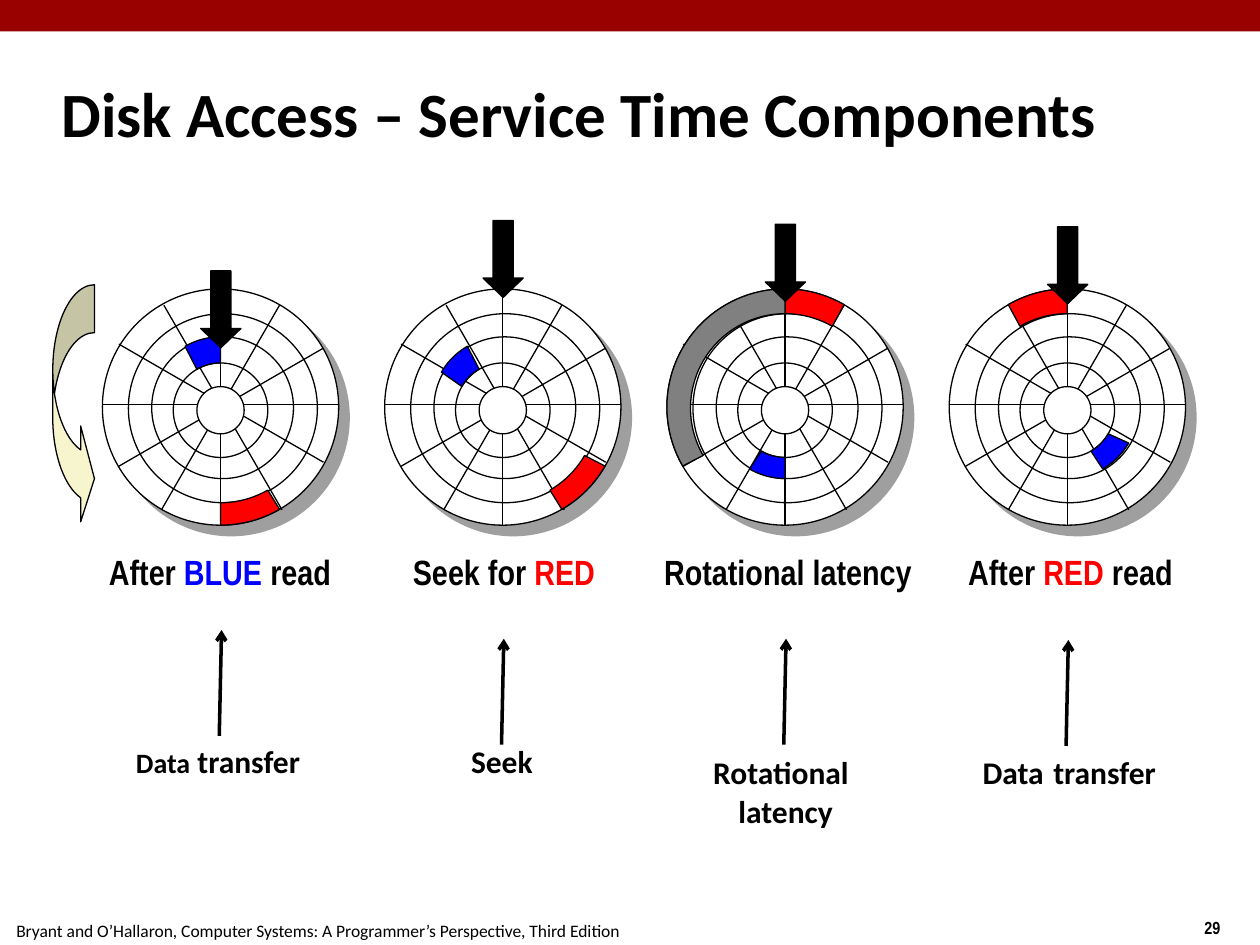
from dataclasses import dataclass
from math import cos, radians, sin
from typing import NamedTuple, Optional

from lxml import etree
from pptx import Presentation
from pptx import util as u
from pptx.dml import color as dml
from pptx.enum import shapes, text
from pptx.oxml import ns

BLACK, WHITE, BLUE, RED, GRAY = "000000", "FFFFFF", "0000FF", "FF0000", "808080"
CENTER_Y = 232.6
FIRST_X, DISK_PITCH = 126, 161.3


class Box(NamedTuple):
    left: float
    top: float
    width: float
    height: float


class Run(NamedTuple):
    text: str
    size: Optional[float] = None
    color: Optional[str] = None


class Ring(NamedTuple):
    radius: float
    dx: float
    dy: float


class Sector(NamedTuple):
    color: str
    outer: int  # index into RINGS; the inner edge is the next ring
    start: int  # degrees clockwise from the top
    end: int


@dataclass
class Stage:
    sectors: list[Sector]
    head_top: float
    caption: list[Run]
    caption_left: float
    caption_width: float
    step: list[list[Run]]
    step_box: Box
    step_wrap: bool
    pointer_bottom: float


RINGS = [Ring(67.5, 0, 0), Ring(54, 1.4, 0.7), Ring(40.5, 1.2, 0.4),
         Ring(27, 0, 1.8), Ring(13.5, 0, 1.8)]
SPOKE_SHIFTS = [(0, 0), (0, 0.3), (0, 0.3), (0, -1.4), (0.4, -2.2), (1.4, 0.3)]

STAGES = [
    Stage([Sector(BLUE, 2, -30, 0), Sector(RED, 0, 150, 180)], 154.8,
          [Run("After "), Run("BLUE ", color=BLUE), Run("read")], 41.8, 167.8,
          [[Run("Data", 16), Run(" transfer")]],
          Box(70.6, 420.5, 120, 28.8), False, 420.5),
    Stage([Sector(RED, 0, 120, 150), Sector(BLUE, 2, -60, -30)], 126,
          [Run("Seek for "), Run("RED", color=RED)], 216, 144,
          [[Run("Seek")]],
          Box(262.1, 420.5, 60, 28.8), False, 425.5),
    Stage([Sector(RED, 0, 0, 30), Sector(BLUE, 2, 180, 210),
           Sector(GRAY, 0, -120, 0)], 128.2,
          [Run("Rotational latency")], 354.2, 192.2,
          [[Run("Rotational"), Run(" ", 24)], [Run("latency")]],
          Box(383.8, 420.5, 130.3, 57.6), True, 425.5),
    Stage([Sector(RED, 0, -30, 0), Sector(BLUE, 2, 120, 150)], 129.6,
          [Run("After "), Run("RED", color=RED), Run(" read")], 527.8, 167.8,
          [[Run("Data"), Run(" ", 24), Run("transfer")]],
          Box(554.4, 420.5, 130, 36), False, 426.2),
]


def rgb(value: str) -> dml.RGBColor:
    return dml.RGBColor.from_string(value)


def paint(shape, fill: str, line: Optional[str] = BLACK) -> None:
    shape.shadow.inherit = False
    shape.fill.solid()
    shape.fill.fore_color.rgb = rgb(fill)
    if line:
        shape.line.color.rgb = rgb(line)
        shape.line.width = u.Pt(0.75)
    else:
        shape.line.fill.background()


def add_shape(parent, kind, box: Box, fill: str, line: Optional[str] = BLACK,
              adjustments=()):
    shape = parent.add_shape(kind, *map(u.Pt, box))
    for index, value in enumerate(adjustments):
        shape.adjustments[index] = value
    paint(shape, fill, line)
    return shape


def add_line(parent, start, end, width: float = 0.75, arrow: bool = False) -> None:
    line = parent.add_connector(shapes.MSO_CONNECTOR.STRAIGHT,
                                *map(u.Pt, (*start, *end)))
    line.line.color.rgb = rgb(BLACK)
    line.line.width = u.Pt(width)
    if arrow:
        etree.SubElement(line.line._get_or_add_ln(), ns.qn("a:tailEnd"), type="arrow")
    etree.SubElement(line._element.spPr, ns.qn("a:effectLst"))


def add_text(slide, box: Box, paragraphs: list[list[Run]], *, size: float,
             font: str = "Calibri", bold: bool = True, wrap: bool = True,
             align=text.PP_ALIGN.LEFT, anchor=text.MSO_ANCHOR.TOP,
             fit=text.MSO_AUTO_SIZE.SHAPE_TO_FIT_TEXT) -> None:
    frame = slide.shapes.add_textbox(*map(u.Pt, box)).text_frame
    frame.word_wrap = wrap
    frame.auto_size = fit
    frame.vertical_anchor = anchor
    for index, runs in enumerate(paragraphs):
        paragraph = frame.add_paragraph() if index else frame.paragraphs[0]
        paragraph.alignment = align
        for item in runs:
            run = paragraph.add_run()
            run.text = item.text
            run.font.name = font
            run.font.bold = bold
            run.font.size = u.Pt(item.size or size)
            run.font.color.rgb = rgb(item.color or BLACK)


def add_shadow(shape) -> None:
    effects = shape._element.spPr.find(ns.qn("a:effectLst"))
    shadow = etree.SubElement(effects, ns.qn("a:outerShdw"), dist=str(u.Pt(8.5)),
                              dir="2700000", algn="ctr", rotWithShape="0")
    color = etree.SubElement(shadow, ns.qn("a:srgbClr"), val=GRAY)
    etree.SubElement(color, ns.qn("a:alpha"), val="75000")


def add_ring(parent, x: float, ring: Ring):
    box = Box(x + ring.dx - ring.radius, CENTER_Y + ring.dy - ring.radius,
              2 * ring.radius, 2 * ring.radius)
    return add_shape(parent, shapes.MSO_SHAPE.OVAL, box, WHITE)


def add_sector(parent, x: float, sector: Sector) -> None:
    def arc(ring: Ring, angles) -> list:
        return [(u.Pt(x + ring.radius * sin(radians(angle))),
                 u.Pt(CENTER_Y + ring.dy - ring.radius * cos(radians(angle))))
                for angle in angles]

    angles = range(sector.start, sector.end + 1, 3)
    points = (arc(RINGS[sector.outer], angles)
              + arc(RINGS[sector.outer + 1], reversed(angles)))
    builder = parent.build_freeform(*points[0])
    builder.add_line_segments(points[1:], close=True)
    paint(builder.convert_to_shape(), sector.color)


def add_disk(slide, x: float, stage: Stage) -> None:
    group = slide.shapes.add_group_shape().shapes
    add_shadow(add_ring(group, x, RINGS[0]))
    for ring in RINGS[1:-1]:
        add_ring(group, x, ring)
    for index, (dx, dy) in enumerate(SPOKE_SHIFTS):
        angle, radius = radians(30 * index), RINGS[0].radius
        reach_x, reach_y = radius * sin(angle), -radius * cos(angle)
        add_line(group, (x + dx + reach_x, CENTER_Y + dy + reach_y),
                 (x + dx - reach_x, CENTER_Y + dy - reach_y))
    add_ring(group, x, RINGS[-1])
    for sector in stage.sectors:
        add_sector(group, x, sector)
    # Read/write head
    add_shape(group, shapes.MSO_SHAPE.DOWN_ARROW,
              Box(x - 11.3, stage.head_top, 23, 44), BLACK, adjustments=(0.5, 0.48))


def main() -> None:
    presentation = Presentation()
    presentation.slide_width, presentation.slide_height = u.Pt(720), u.Pt(540)
    slide = presentation.slides.add_slide(presentation.slide_layouts[6])

    # Banner, footer and title
    add_shape(slide.shapes, shapes.MSO_SHAPE.RECTANGLE, Box(0, 0, 720, 18),
              "990000", None)
    add_text(slide, Box(681.1, 520.6, 38, 19.4), [[Run("29")]], size=10,
             font="Arial Narrow", wrap=False)
    add_text(slide, Box(2.2, 522, 400, 18),
             [[Run("Bryant and O’Hallaron, Computer Systems: "
                   "A Programmer’s Perspective, Third Edition")]],
             size=10, bold=False, wrap=False)
    add_text(slide, Box(28.1, 34.2, 637.2, 59.8),
             [[Run("Disk Access – Service Time Components")]], size=36,
             anchor=text.MSO_ANCHOR.MIDDLE, fit=text.MSO_AUTO_SIZE.NONE)

    # Disks with captions, step names and pointers
    for index, stage in enumerate(STAGES):
        x = FIRST_X + index * DISK_PITCH
        add_disk(slide, x, stage)
        add_text(slide, Box(stage.caption_left, 311, stage.caption_width, 31),
                 [stage.caption], size=20, font="Arial Narrow",
                 align=text.PP_ALIGN.CENTER)
        add_text(slide, stage.step_box, stage.step, size=18, wrap=stage.step_wrap,
                 align=text.PP_ALIGN.CENTER if stage.step_wrap else text.PP_ALIGN.LEFT)
        add_line(slide.shapes, (x - 0.7, stage.pointer_bottom),
                 (x + 0.6, stage.pointer_bottom - 60.5), 2, arrow=True)

    # Direction of rotation
    add_shape(slide.shapes, shapes.MSO_SHAPE.CURVED_RIGHT_ARROW,
              Box(30.2, 162.7, 23.8, 138.2), "F7F5CD", adjustments=(1.15, 2.3, 0.33))
    presentation.save("out.pptx")


if __name__ == "__main__":
    main()
